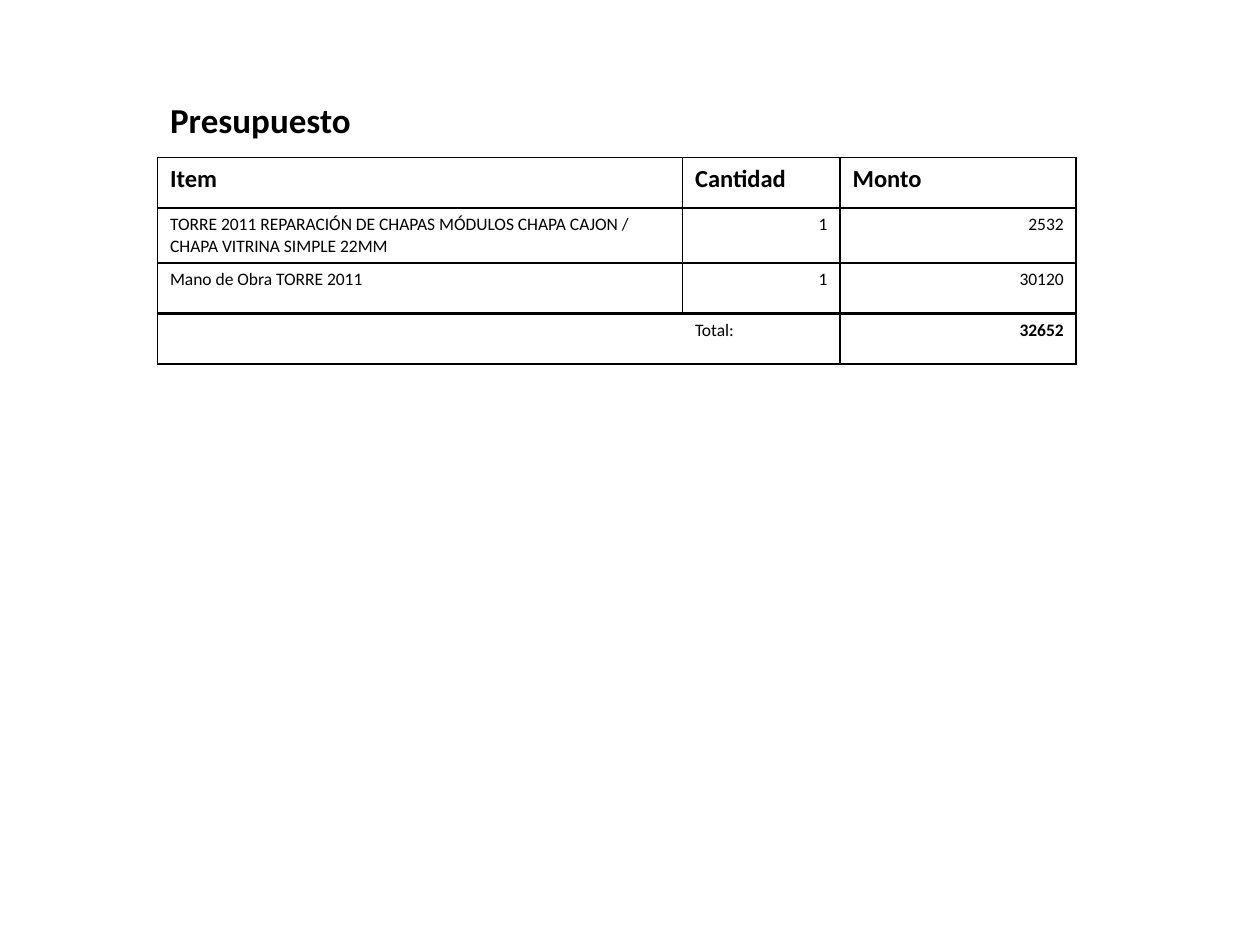
from lxml import etree
from pptx import Presentation
from pptx.dml.color import RGBColor
from pptx.enum.text import MSO_ANCHOR, MSO_AUTO_SIZE, PP_ALIGN
from pptx.oxml.ns import qn
from pptx.util import Pt

LEFT, RIGHT = PP_ALIGN.LEFT, PP_ALIGN.RIGHT
TOP = MSO_ANCHOR.TOP
NO_AUTOFIT = MSO_AUTO_SIZE.NONE
TITLE_ONLY = 5
COLORS = {"ink": "000000", "paper": "FFFFFF"}


class BudgetSlide:
    font_name = "Calibri"

    def __init__(self, presentation):
        self.slide = presentation.slides.add_slide(presentation.slide_layouts[TITLE_ONLY])

    def format_text(self, frame, text, size, bold=False, align=LEFT):
        frame.text = text
        paragraph = frame.paragraphs[0]
        paragraph.alignment = align
        font = paragraph.font
        font.name, font.size, font.bold = self.font_name, Pt(size), bold
        font.color.rgb = RGBColor.from_string(COLORS["ink"])

    def title(self, text, left, top, width, height):
        shape = self.slide.shapes.title
        shape.left, shape.top, shape.width, shape.height = map(Pt, (left, top, width, height))
        frame = shape.text_frame
        frame.word_wrap = True
        frame.auto_size = NO_AUTOFIT
        frame.vertical_anchor = TOP
        self.format_text(frame, text, 20, bold=True)

    def borders(self, cell, widths):
        properties = cell._tc.get_or_add_tcPr()
        for index, (side, width) in enumerate(zip("LRTB", widths)):
            line = etree.Element(qn(f"a:ln{side}"), w=str(Pt(width)))
            if width:
                fill = etree.SubElement(line, qn("a:solidFill"))
                etree.SubElement(fill, qn("a:srgbClr"), val=COLORS["ink"])
            else:
                etree.SubElement(line, qn("a:noFill"))
            properties.insert(index, line)

    def table(self, rows, left, top, column_widths, row_height):
        shape = self.slide.shapes.add_table(
            len(rows), len(column_widths), Pt(left), Pt(top),
            Pt(sum(column_widths)), Pt(row_height * len(rows)))
        table = shape.table
        table.first_row = table.horz_banding = False
        for column, width in zip(table.columns, column_widths):
            column.width = Pt(width)
        last = len(rows) - 1
        for row_index, values in enumerate(rows):
            table.rows[row_index].height = Pt(row_height)
            header, total = row_index == 0, row_index == last
            for column_index, value in enumerate(values):
                cell = table.cell(row_index, column_index)
                if total:
                    cell.fill.background()
                else:
                    cell.fill.solid()
                    cell.fill.fore_color.rgb = RGBColor.from_string(COLORS["paper"])
                self.format_text(
                    cell.text_frame, value, 14 if header else 10,
                    bold=header or (total and column_index == 2),
                    align=RIGHT if value.isdigit() else LEFT)
                self.borders(cell, (
                    0 if total and column_index == 1 else 1,
                    0 if total and column_index == 0 else 1,
                    2 if total else 1,
                    2 if row_index == last - 1 else 1))


presentation = Presentation()
presentation.slide_width, presentation.slide_height = Pt(720), Pt(540)
budget = BudgetSlide(presentation)
budget.title("Presupuesto", 90, 52.5, 450, 34)
budget.table(
    [
        ("Item", "Cantidad", "Monto"),
        ("TORRE 2011 REPARACIÓN DE CHAPAS MÓDULOS CHAPA CAJON / CHAPA VITRINA SIMPLE 22MM",
         "1", "2532"),
        ("Mano de Obra TORRE 2011", "1", "30120"),
        ("", "Total:", "32652"),
    ],
    90, 90, (300, 90, 135), 28.8)
presentation.save("out.pptx")
